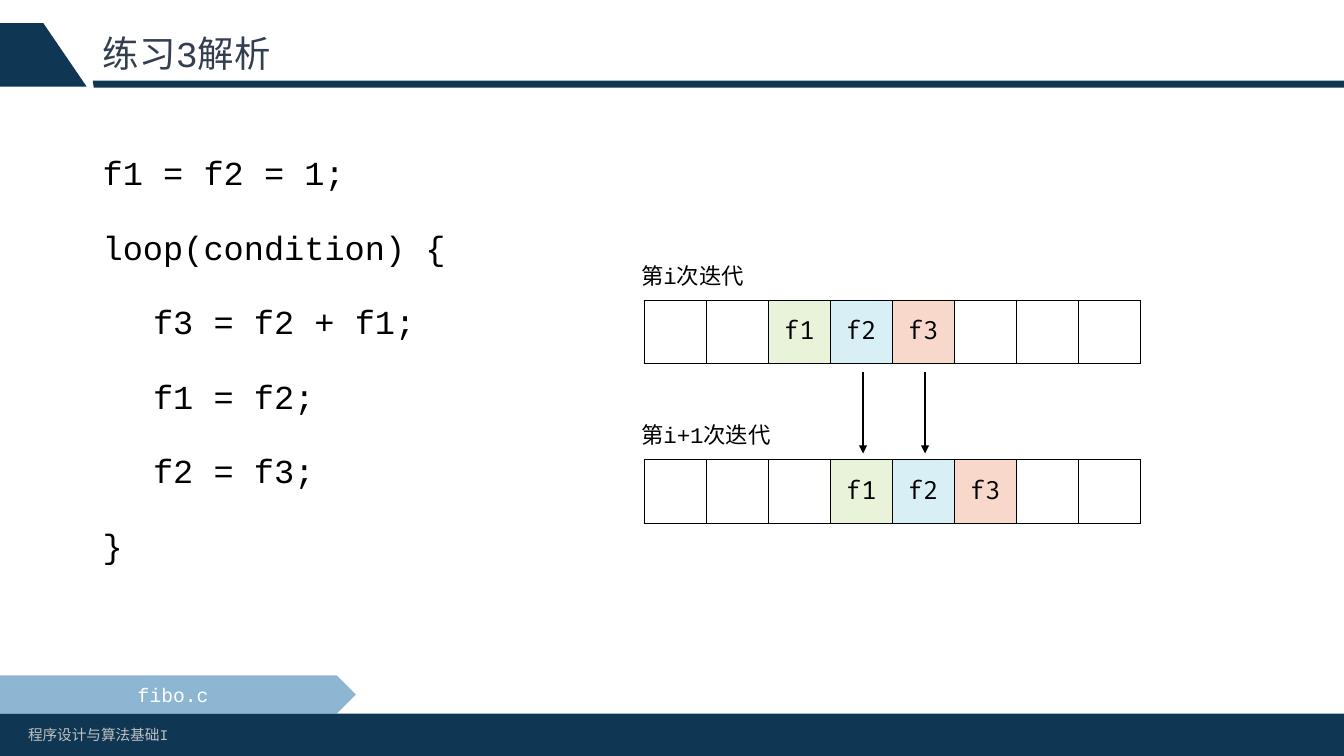
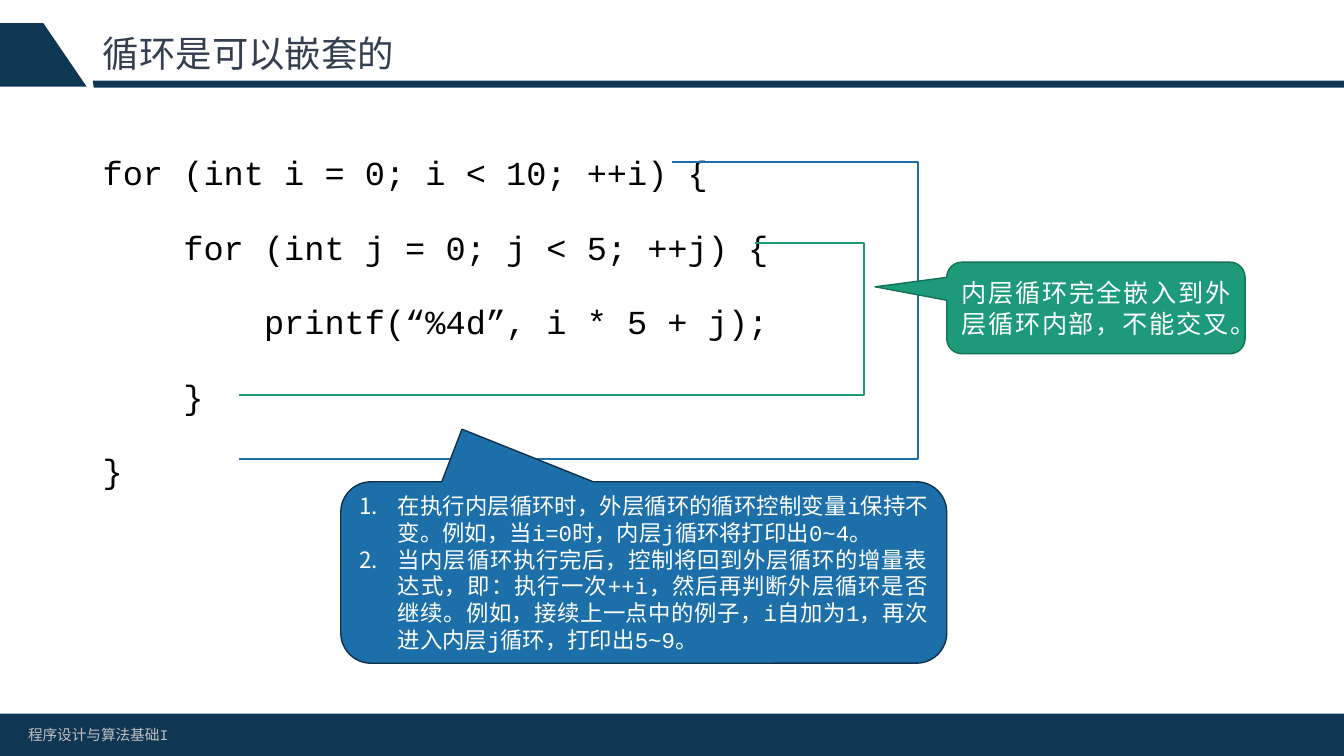
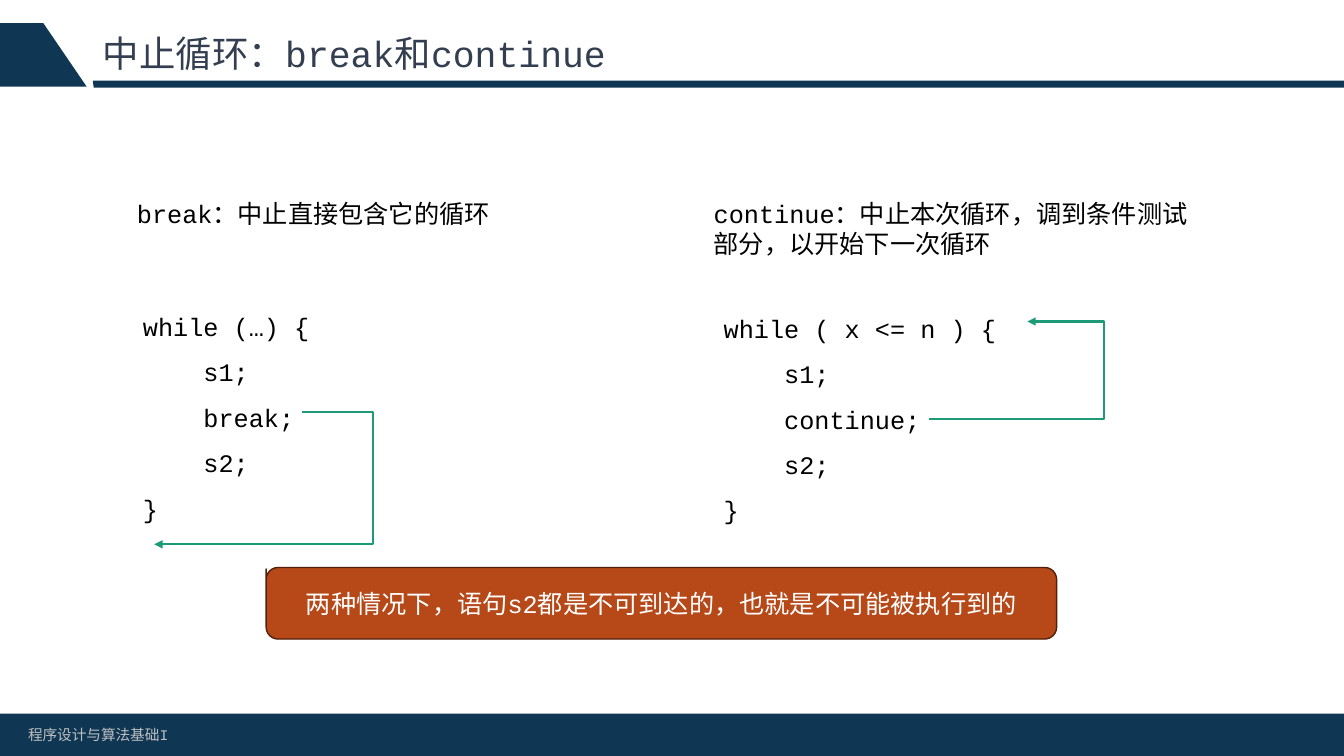
from dataclasses import dataclass
from typing import Optional

from lxml.etree import SubElement
from pptx import Presentation
from pptx.dml.color import RGBColor
from pptx.enum.lang import MSO_LANGUAGE_ID as Lang
from pptx.enum.shapes import MSO_CONNECTOR as Link, MSO_SHAPE as Preset
from pptx.enum.text import MSO_ANCHOR as Anchor, MSO_AUTO_SIZE as AutoSize, PP_ALIGN as Align
from pptx.oxml.ns import qn
from pptx.util import Inches, Pt

CODE_FONT, CELL_FONT = "Courier New", "Fira Code"
NAVY, BLUE, GREEN, RUST = "0F3754", "1D6FA9", "1D9A78", "B74919"
BLACK, WHITE, TITLE_GREY, FOOTER_GREY = "000000", "FFFFFF", "333F50", "BFBFBF"
WIDTH, HEIGHT = 13.33, 7.5
VARIABLES = {"f1": "E8F3DA", "f2": "D7EFF5", "f3": "F8D8CA"}
CELL_COUNT, CELL_WIDTH, CELL_HEIGHT = 8, 4.92 / 8, 0.63


@dataclass(frozen=True)
class Box:
    """A place on the slide, in inches."""
    left: float
    top: float
    width: float
    height: float

    def emu(self) -> tuple:
        """Give the place as lengths."""
        return tuple(Inches(v) for v in (self.left, self.top, self.width, self.height))


@dataclass(frozen=True)
class Style:
    """The look of a text."""
    size: float = 18
    color: str = BLACK
    align: Align = Align.LEFT
    line: Optional[float] = None
    before: float = 0
    font: str = CODE_FONT
    numbered: bool = False


@dataclass(frozen=True)
class Note:
    """A filled callout with a message."""
    box: Box
    pointer: tuple
    fill: str
    outline: str
    text: str
    style: Style


@dataclass(frozen=True)
class Sequence:
    """A captioned row of cells in which f1 takes the given column."""
    caption: str
    caption_width: float
    top: float
    first: int


@dataclass(frozen=True)
class Jump:
    """A bent line that turns at a given x."""
    start: tuple
    end: tuple
    turn: float
    color: str
    arrow: bool = False


BODY = Style(24, align=Align.JUSTIFY, line=1.5, before=10)
LOOP_CODE = Style(line=1.5)
BODY_BOX = Box(0.92, 1.26, 11.5, 5.43)


def rgb(color: str) -> RGBColor:
    """Turn a hex string into a colour."""
    return RGBColor.from_string(color)


def write(frame, text: str, style: Style) -> None:
    """Put text in a frame and format its paragraphs."""
    frame.text = text
    for index, paragraph in enumerate(frame.paragraphs):
        if style.numbered:
            props = paragraph._p.get_or_add_pPr()
            props.set("marL", str(Inches(0.38)))
            props.set("indent", str(-Inches(0.38)))
            SubElement(props, qn("a:buFont"), typeface="+mj-lt")
            SubElement(props, qn("a:buAutoNum"), type="arabicPeriod")
        paragraph.alignment = style.align
        if style.line:
            paragraph.line_spacing = style.line
        if index and style.before:
            paragraph.space_before = Pt(style.before)
        for run in paragraph.runs:
            run.font.name = style.font
            run.font.size = Pt(style.size)
            run.font.color.rgb = rgb(style.color)
            run.font.language_id = Lang.SIMPLIFIED_CHINESE


def add_text(slide, box: Box, text: str, style: Style) -> None:
    """Add a wrapping text box."""
    frame = slide.shapes.add_textbox(*box.emu()).text_frame
    frame.word_wrap = True
    write(frame, text, style)


def paint(shape, fill: str, outline: Optional[str] = None) -> None:
    """Give a shape a flat fill and an optional thin outline."""
    shape.shadow.inherit = False
    shape.fill.solid()
    shape.fill.fore_color.rgb = rgb(fill)
    if outline:
        shape.line.color.rgb = rgb(outline)
        shape.line.width = Pt(1)
    else:
        shape.line.fill.background()


def add_band(slide, points: list) -> None:
    """Add a navy outline through the points."""
    corners = [(Inches(x), Inches(y)) for x, y in points]
    builder = slide.shapes.build_freeform(*corners[0], scale=1.0)
    builder.add_line_segments(corners[1:], close=True)
    paint(builder.convert_to_shape(), NAVY)


def add_slide(deck, title: str):
    """Add a slide with the shared bands, footer and title."""
    slide = deck.slides.add_slide(deck.slide_layouts[5])
    add_band(slide, [(0.92, 0.8), (WIDTH, 0.8), (WIDTH, 0.87), (0.93, 0.87)])
    add_band(slide, [(0.43, 0.23), (0.86, 0.86), (0, 0.86), (0, 0.23)])
    footer_band = Box(0, 7.08, WIDTH, HEIGHT - 7.08)
    paint(slide.shapes.add_shape(Preset.RECTANGLE, *footer_band.emu()), NAVY)
    add_text(slide, Box(0.18, 7.15, 4.32, 0.29), "程序设计与算法基础I", Style(10.5, FOOTER_GREY))
    heading = slide.shapes.title
    heading.left, heading.top, heading.width, heading.height = Box(0.92, 0.23, 11.5, 0.64).emu()
    heading.text_frame.auto_size = AutoSize.NONE
    heading.text_frame.vertical_anchor = Anchor.MIDDLE
    write(heading.text_frame, title, Style(26, TITLE_GREY, line=0.9))
    return slide


def finish_line(connector, color: str, arrow: bool) -> None:
    """Colour a connector, remove its shadow and add its arrowhead."""
    connector.line.color.rgb = rgb(color)
    connector.line.width = Pt(1.5)
    if arrow:
        SubElement(connector.line._get_or_add_ln(), qn("a:tailEnd"), type="triangle")
    SubElement(connector._element.spPr, qn("a:effectLst"))


def add_arrow(slide, x: float, top: float, bottom: float) -> None:
    """Add a straight downward arrow."""
    ends = (Inches(v) for v in (x, top, x, bottom))
    finish_line(slide.shapes.add_connector(Link.STRAIGHT, *ends), BLACK, True)


def add_jump(slide, jump: Jump) -> None:
    """Add a bent connector with its turn in place."""
    ends = (Inches(v) for v in (*jump.start, *jump.end))
    connector = slide.shapes.add_connector(Link.ELBOW, *ends)
    ratio = (jump.turn - jump.start[0]) / (jump.end[0] - jump.start[0])
    guides = connector._element.spPr.find(qn("a:prstGeom")).get_or_add_avLst()
    SubElement(guides, qn("a:gd"), name="adj1", fmla=f"val {round(ratio * 100000)}")
    finish_line(connector, jump.color, jump.arrow)


def add_note(slide, note: Note) -> None:
    """Add a rounded callout."""
    callout = slide.shapes.add_shape(Preset.ROUNDED_RECTANGULAR_CALLOUT, *note.box.emu())
    callout.adjustments[0], callout.adjustments[1] = note.pointer
    paint(callout, note.fill, note.outline)
    callout.text_frame.word_wrap = True
    callout.text_frame.vertical_anchor = Anchor.MIDDLE
    write(callout.text_frame, note.text, note.style)


def border(cell) -> None:
    """Draw thin black lines round a table cell."""
    props = cell._tc.get_or_add_tcPr()
    for index, side in enumerate(("lnL", "lnR", "lnT", "lnB")):
        line = props.makeelement(qn(f"a:{side}"), {"w": str(Pt(1))})
        SubElement(SubElement(line, qn("a:solidFill")), qn("a:srgbClr"), val=BLACK)
        props.insert(index, line)


def add_sequence(slide, row: Sequence) -> None:
    """Add a caption and its row of cells."""
    add_text(slide, Box(6.26, row.top - 0.43, row.caption_width, 0.37), row.caption, Style(16))
    box = Box(6.39, row.top, CELL_COUNT * CELL_WIDTH, CELL_HEIGHT)
    table = slide.shapes.add_table(1, CELL_COUNT, *box.emu()).table
    table.first_row = table.horz_banding = False
    labels = dict(enumerate(VARIABLES, row.first))
    for index in range(CELL_COUNT):
        cell = table.cell(0, index)
        if index in labels:
            cell.fill.solid()
            cell.fill.fore_color.rgb = rgb(VARIABLES[labels[index]])
            cell.vertical_anchor = Anchor.MIDDLE
            write(cell.text_frame, labels[index], Style(align=Align.CENTER, font=CELL_FONT))
        else:
            cell.fill.background()
        border(cell)


def add_file_tag(slide, name: str) -> None:
    """Add the half-transparent tag with a file name."""
    tag = slide.shapes.add_shape(Preset.PENTAGON, *Box(0, 6.7, 3.53, 0.38).emu())
    paint(tag, BLUE)
    color = tag._element.spPr.find(qn("a:solidFill")).find(qn("a:srgbClr"))
    SubElement(color, qn("a:alpha"), val="50000")
    tag.text_frame.vertical_anchor = Anchor.MIDDLE
    write(tag.text_frame, name, Style(14, WHITE, Align.CENTER))


def build_fibonacci(deck) -> None:
    """Build the slide on the Fibonacci exercise."""
    slide = add_slide(deck, "练习3解析")
    code = "f1 = f2 = 1;\nloop(condition) {\n\tf3 = f2 + f1;\n\tf1 = f2;\n\tf2 = f3;\n}"
    add_text(slide, BODY_BOX, code, BODY)
    for row in (Sequence("第i次迭代", 1.48, 2.98, 2), Sequence("第i+1次迭代", 2.02, 4.56, 3)):
        add_sequence(slide, row)
    add_file_tag(slide, "fibo.c")
    for step in range(2):
        add_arrow(slide, 8.56 + step * CELL_WIDTH, 3.69, 4.5)


def build_nesting(deck) -> None:
    """Build the slide on nested loops."""
    slide = add_slide(deck, "循环是可以嵌套的")
    code = """for (int i = 0; i < 10; ++i) {
    for (int j = 0; j < 5; ++j) {
        printf(“%4d”, i * 5 + j);
    }
}"""
    add_text(slide, BODY_BOX, code, BODY)
    add_jump(slide, Jump((7.49, 2.41), (2.37, 3.92), 8.57, GREEN))
    add_jump(slide, Jump((6.67, 1.61), (2.37, 4.55), 9.11, BLUE))
    add_note(slide, Note(Box(9.39, 2.6, 2.96, 0.91), (-0.74, -0.23), GREEN, "157259",
                         "内层循环完全嵌入到外层循环内部，不能交叉。",
                         Style(18, WHITE, Align.JUSTIFY)))
    steps = ("在执行内层循环时，外层循环的循环控制变量i保持不变。"
             "例如，当i=0时，内层j循环将打印出0~4。\n"
             "当内层循环执行完后，控制将回到外层循环的增量表达式，即：执行一次++i，"
             "然后再判断外层循环是否继续。例如，接续上一点中的例子，"
             "i自加为1，再次进入内层j循环，打印出5~9。")
    add_note(slide, Note(Box(3.38, 4.78, 6.01, 1.8), (-0.3, -0.79), BLUE, "0D314A", steps,
                         Style(16, WHITE, Align.JUSTIFY, numbered=True)))


def build_stopping(deck) -> None:
    """Build the slide on break and continue."""
    slide = add_slide(deck, "中止循环：break和continue")
    loops = (("while (…) {", "break", Box(1.32, 2.89, 5.33, 2.34)),
             ("while ( x <= n ) {", "continue", Box(7.08, 2.91, 5.33, 2.34)))
    for opening, keyword, box in loops:
        add_text(slide, box, f"{opening}\n    s1;\n    {keyword};\n    s2;\n}}", LOOP_CODE)
    add_text(slide, Box(1.26, 1.92, 3.74, 0.4), "break：中止直接包含它的循环", Style())
    add_text(slide, Box(6.98, 1.92, 5.09, 0.71),
             "continue：中止本次循环，调到条件测试部分，以开始下一次循环", Style())
    add_jump(slide, Jump((3, 4.09), (1.53, 5.4), 3.7, GREEN, True))
    add_jump(slide, Jump((9.21, 4.16), (10.19, 3.19), 10.95, GREEN, True))
    add_note(slide, Note(Box(2.64, 5.63, 7.84, 0.71), (-0.5, -0.48), RUST, "50200B",
                         "两种情况下，语句s2都是不可到达的，也就是不可能被执行到的",
                         Style(18, WHITE, Align.CENTER)))


def main() -> None:
    """Build and save the deck."""
    deck = Presentation()
    deck.slide_width, deck.slide_height = Inches(WIDTH), Inches(HEIGHT)
    for build in (build_fibonacci, build_nesting, build_stopping):
        build(deck)
    deck.save("out.pptx")


if __name__ == "__main__":
    main()
